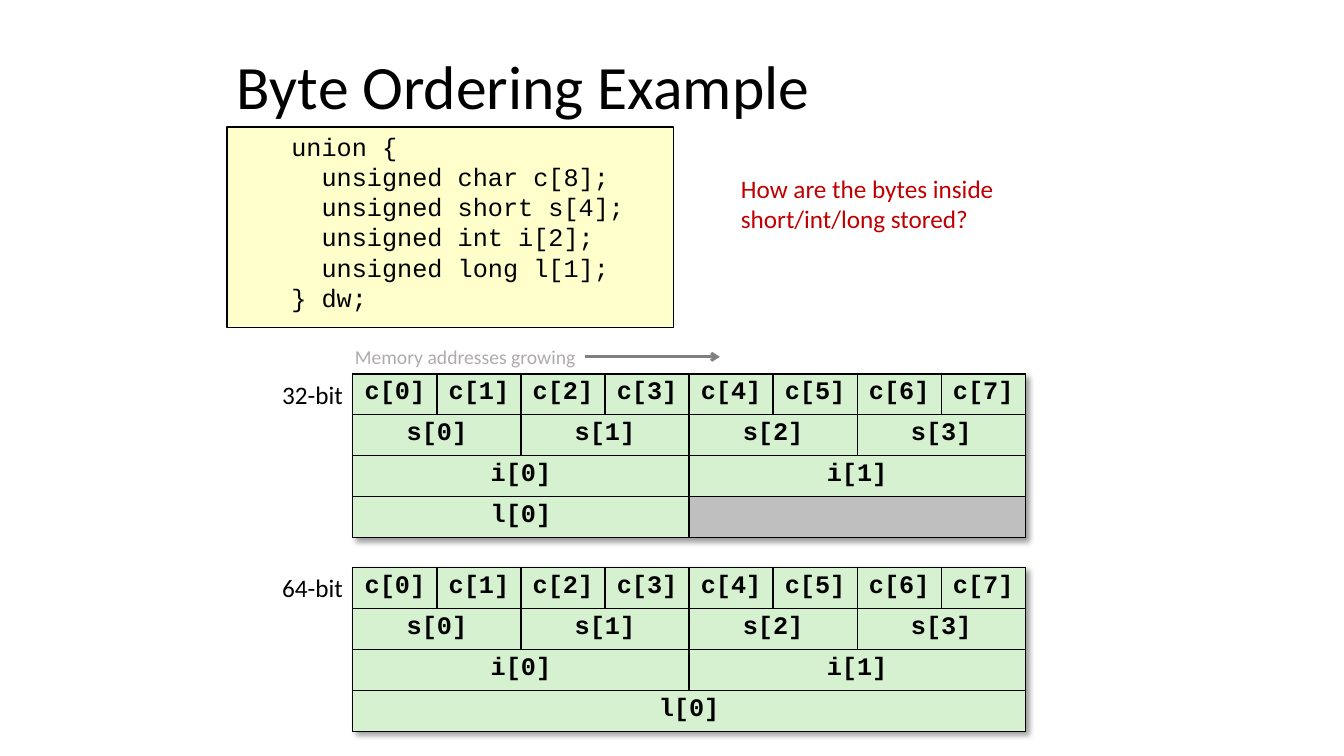
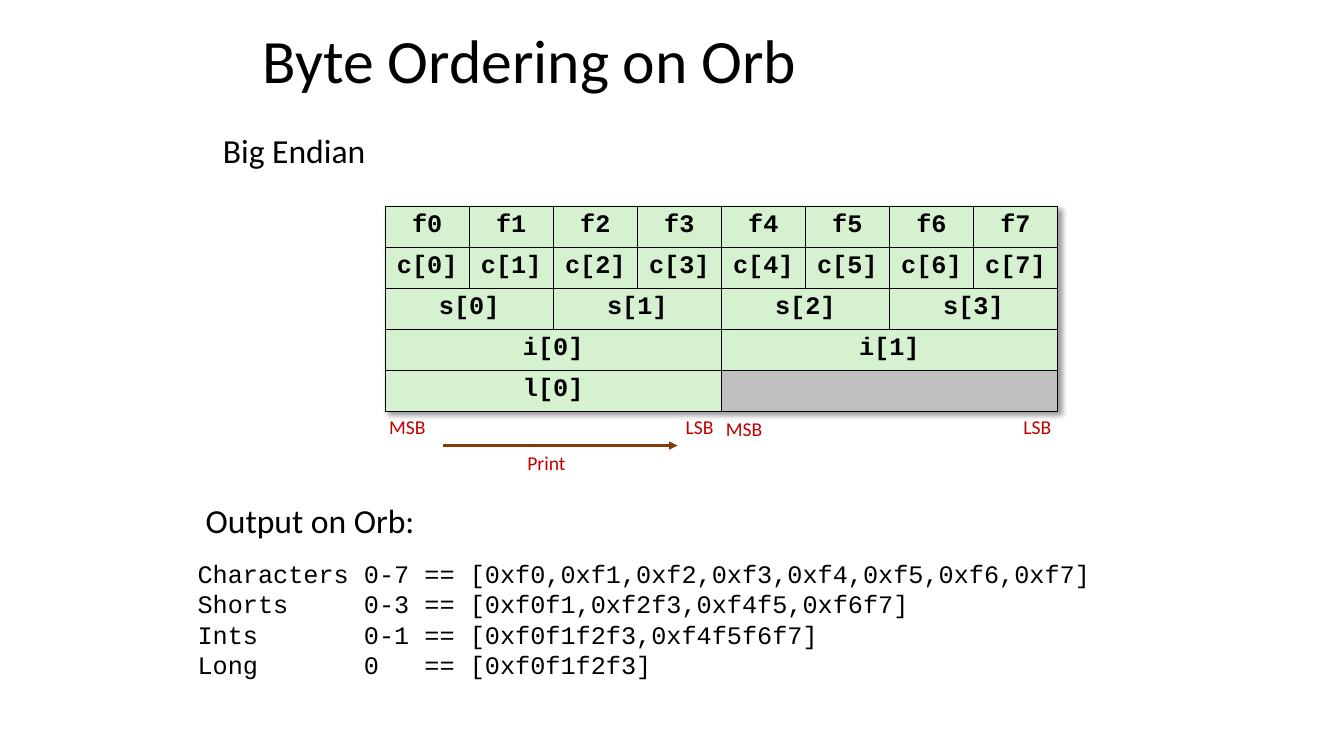
from dataclasses import dataclass

from lxml import etree
from pptx import Presentation
from pptx import util as u
from pptx.dml.color import RGBColor
from pptx.enum import shapes, text
from pptx.oxml import ns
from pptx.slide import Slide
from pptx.text.text import TextFrame

BLACK = RGBColor(0x00, 0x00, 0x00)
RED = RGBColor(0xC0, 0x00, 0x00)
BROWN = RGBColor(0x84, 0x3C, 0x0B)
GRAY = RGBColor(0x80, 0x80, 0x80)
LIGHT_GRAY = RGBColor(0xAF, 0xAB, 0xAB)
CODE_FILL = RGBColor(0xFF, 0xFF, 0xCC)
CELL_FILL = RGBColor(0xD5, 0xF1, 0xCF)
UNUSED_FILL = RGBColor(0xBF, 0xBF, 0xBF)

BODY_FONT, CODE_FONT = "Calibri", "Courier New"
TIGHT, NORMAL = 0.04, 0.1  # text insets in inches
LEFT, CENTER, RIGHT = text.PP_ALIGN.LEFT, text.PP_ALIGN.CENTER, text.PP_ALIGN.RIGHT

BYTES = 8
TABLE_WIDTH = u.Inches(6.67)
ROW_HEIGHT = u.Inches(2.03) // 5


@dataclass(frozen=True)
class Box:
    left: float
    top: float
    width: float
    height: float

    def lengths(self) -> tuple[u.Length, ...]:
        return tuple(map(u.Inches, (self.left, self.top, self.width, self.height)))


@dataclass(frozen=True)
class Label:
    words: str
    box: Box
    size: int = 18
    color: RGBColor = BLACK
    font: str = BODY_FONT
    align: text.PP_ALIGN = LEFT
    inset: float = NORMAL
    wrap: bool = False


def indexed(name: str, count: int) -> list[str]:
    return [f"{name}[{index}]" for index in range(count)]


# An empty label marks unused memory; each row shares the bytes equally.
UNION_ROWS = [indexed("c", 8), indexed("s", 4), indexed("i", 2)]
ROWS_32 = UNION_ROWS + [["l[0]", ""]]
ROWS_64 = UNION_ROWS + [["l[0]"]]
ROWS_VALUES = [[f"f{index}" for index in range(BYTES)]] + ROWS_32


def write(frame: TextFrame, label: Label) -> None:
    frame.margin_left = frame.margin_right = u.Inches(label.inset)
    frame.margin_top = frame.margin_bottom = u.Inches(min(label.inset, 0.05))
    frame.word_wrap = label.wrap
    frame.vertical_anchor = text.MSO_ANCHOR.TOP
    if not label.wrap:
        frame.auto_size = text.MSO_AUTO_SIZE.SHAPE_TO_FIT_TEXT
    frame.text = label.words
    for para in frame.paragraphs:
        para.alignment = label.align
        para.font.name = label.font
        para.font.size = u.Pt(label.size)
        para.font.color.rgb = label.color


def add_label(page: Slide, label: Label) -> None:
    write(page.shapes.add_textbox(*label.box.lengths()).text_frame, label)


def add_page(deck: Presentation, title: str, box: Box) -> Slide:
    page = deck.slides.add_slide(deck.slide_layouts[5])
    holder = page.shapes.title
    holder.left, holder.top, holder.width, holder.height = box.lengths()
    write(holder.text_frame, Label(title, box, 44, wrap=True))
    holder.text_frame.auto_size = text.MSO_AUTO_SIZE.NONE
    holder.text_frame.vertical_anchor = text.MSO_ANCHOR.MIDDLE
    holder.text_frame.paragraphs[0].line_spacing = 0.9
    return page


def add_code_panel(page: Slide, label: Label) -> None:
    panel = page.shapes.add_shape(shapes.MSO_SHAPE.RECTANGLE, *label.box.lengths())
    panel.shadow.inherit = False
    panel.fill.solid()
    panel.fill.fore_color.rgb = CODE_FILL
    panel.line.color.rgb = BLACK
    panel.line.width = u.Pt(1)
    write(panel.text_frame, label)


def add_arrow(page: Slide, left: float, right: float, y: float,
              color: RGBColor, head: str) -> None:
    arrow = page.shapes.add_connector(
        shapes.MSO_CONNECTOR.STRAIGHT,
        u.Inches(left), u.Inches(y), u.Inches(right), u.Inches(y))
    arrow.line.color.rgb = color
    arrow.line.width = u.Pt(2)
    properties = arrow._element.spPr
    etree.SubElement(properties.find(ns.qn("a:ln")), ns.qn("a:tailEnd"), type=head)
    etree.SubElement(properties, ns.qn("a:effectLst"))


def add_borders(cell) -> None:
    properties = cell._tc.get_or_add_tcPr()
    for side in ("L", "R", "T", "B"):
        line = etree.SubElement(properties, ns.qn(f"a:ln{side}"), w=str(u.Pt(1)))
        fill = etree.SubElement(line, ns.qn("a:solidFill"))
        etree.SubElement(fill, ns.qn("a:srgbClr"), val=str(BLACK))


def add_table_shadow(table) -> None:
    effects = etree.Element(ns.qn("a:effectLst"))
    shadow = etree.SubElement(
        effects, ns.qn("a:outerShdw"), blurRad=str(u.Pt(4)), dist=str(u.Pt(3)),
        dir="2700000", algn="tl", rotWithShape="0")
    color = etree.SubElement(shadow, ns.qn("a:srgbClr"), val=str(BLACK))
    etree.SubElement(color, ns.qn("a:alpha"), val="40000")
    table._tbl.tblPr.insert(0, effects)


def add_memory_table(page: Slide, left: float, top: float,
                     rows: list[list[str]]) -> None:
    table = page.shapes.add_table(
        len(rows), BYTES, u.Inches(left), u.Inches(top),
        TABLE_WIDTH, ROW_HEIGHT * len(rows)).table
    table.first_row = table.horz_banding = False
    add_table_shadow(table)
    for row, labels in enumerate(rows):
        span = BYTES // len(labels)
        for column in range(BYTES):
            cell = table.cell(row, column)
            words = labels[column // span]
            add_borders(cell)
            cell.fill.solid()
            cell.fill.fore_color.rgb = CELL_FILL if words else UNUSED_FILL
            if column % span:
                continue
            if span > 1:
                cell.merge(table.cell(row, column + span - 1))
            cell.text = words
            para = cell.text_frame.paragraphs[0]
            para.alignment = CENTER
            para.font.name = CODE_FONT
            para.font.size = u.Pt(18)
            para.font.bold = True
            para.font.color.rgb = BLACK


def build_example(deck: Presentation) -> None:
    page = add_page(deck, "Byte Ordering Example", Box(2.25, 0.28, 7.27, 1.21))
    code = """\
    union {
      unsigned char c[8];
      unsigned short s[4];
      unsigned int i[2];
      unsigned long l[1];
    } dw;"""
    add_code_panel(page, Label(code, Box(2.25, 1.26, 4.43, 1.99), font=CODE_FONT,
                               inset=TIGHT, wrap=True))
    # Memory layout for each word size
    for name, top, rows in (("32-bit", 3.71, ROWS_32), ("64-bit", 5.63, ROWS_64)):
        add_memory_table(page, 3.5, top, rows)
        add_label(page, Label(name, Box(2.69, top, 0.81, 0.4), align=RIGHT))
    # Question and address direction
    add_label(page, Label("How are the bytes inside\vshort/int/long stored?",
                          Box(7.25, 1.67, 2.8, 0.71), color=RED))
    add_arrow(page, 5.8, 7.14, 3.54, GRAY, "arrow")
    add_label(page, Label("Memory addresses growing", Box(3.42, 3.37, 2.45, 0.34),
                          14, LIGHT_GRAY))


def build_big_endian(deck: Presentation) -> None:
    page = add_page(deck, "Byte Ordering on Orb", Box(2.5, 0, 6.81, 1.27))
    # Headings and program output
    for words, box in (("Big Endian", Box(2.17, 1.25, 2.86, 0.49)),
                       ("Output on Orb:", Box(2, 4.92, 4.01, 0.49))):
        add_label(page, Label(words, box, 24, inset=TIGHT, wrap=True))
    output = """\
Characters 0-7 == [0xf0,0xf1,0xf2,0xf3,0xf4,0xf5,0xf6,0xf7]
Shorts     0-3 == [0xf0f1,0xf2f3,0xf4f5,0xf6f7]
Ints       0-1 == [0xf0f1f2f3,0xf4f5f6f7]
Long       0   == [0xf0f1f2f3]"""
    add_label(page, Label(output, Box(1.92, 5.5, 9.5, 1.42), font=CODE_FONT,
                          inset=TIGHT, wrap=True))
    # Memory layout with byte significance
    add_memory_table(page, 3.82, 2.05, ROWS_VALUES)
    for words, left, top, width in (("MSB", 3.82, 4.08, 0.46),
                                    ("LSB", 6.76, 4.08, 0.37),
                                    ("MSB", 7.16, 4.1, 0.46),
                                    ("LSB", 10.11, 4.08, 0.37),
                                    ("Print", 5.19, 4.43, 0.48)):
        add_label(page, Label(words, Box(left, top, width, 0.32), 14, RED,
                              inset=TIGHT))
    add_arrow(page, 4.39, 6.72, 4.42, BROWN, "triangle")


def main() -> None:
    deck = Presentation()
    deck.slide_width, deck.slide_height = u.Inches(13.33), u.Inches(7.5)
    build_example(deck)
    build_big_endian(deck)
    deck.save("out.pptx")


if __name__ == "__main__":
    main()
